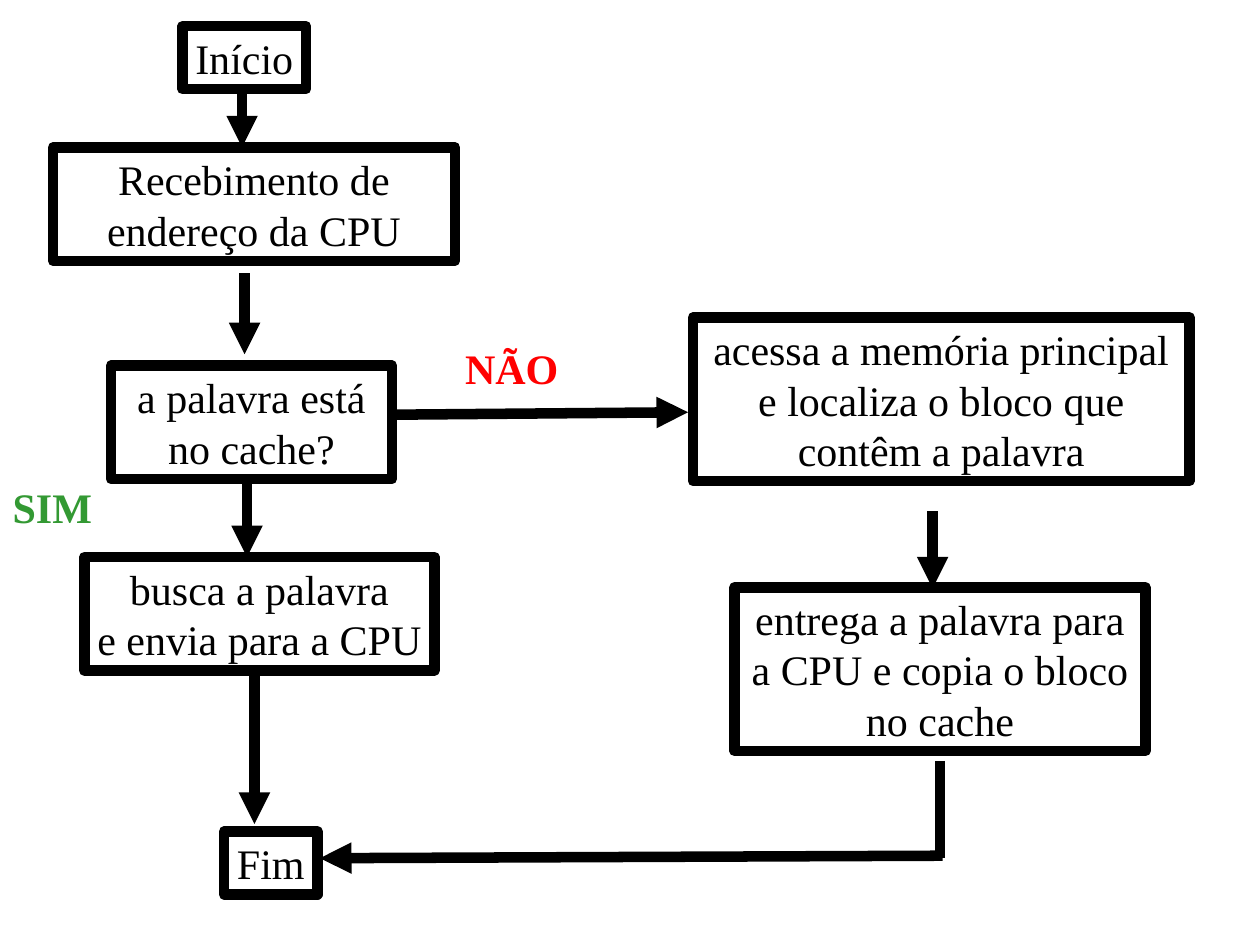
from lxml import etree
from pptx import Presentation, util as u
from pptx.dml.color import RGBColor
from pptx.enum import shapes, text
from pptx.oxml.ns import qn

INK = {"black": "000000", "green": "339933", "red": "FF0000"}

deck = Presentation()
deck.slide_width, deck.slide_height = u.Cm(25.4), u.Cm(19.05)
slide = deck.slides.add_slide(deck.slide_layouts[6])


def write(shape, words, ink, bold, wrap):
    frame = shape.text_frame
    frame.text = words
    frame.word_wrap = wrap
    frame.vertical_anchor = text.MSO_ANCHOR.MIDDLE
    for para in frame.paragraphs:
        para.alignment = text.PP_ALIGN.CENTER
        for run in para.runs:
            run.font.name = "Times New Roman"
            run.font.size = u.Pt(24)
            run.font.bold = bold
            run.font.color.rgb = RGBColor.from_string(INK[ink])


def stroke(line):
    line.width = u.Pt(6)
    line.color.rgb = RGBColor.from_string(INK["black"])


steps = [
    ("Início", 3.68, 0.53, 2.49, 1.27, False),
    ("Recebimento de endereço da CPU", 1.07, 2.97, 8.1, 2.29, True),
    ("a palavra está no cache?", 2.24, 7.37, 5.66, 2.29, True),
    ("busca a palavra\ne envia para a CPU", 1.7, 11.23, 7.06, 2.29, False),
    ("Fim", 4.52, 16.76, 1.88, 1.27, False),
    ("acessa a memória principal e localiza o bloco que contêm a palavra",
     13.97, 6.4, 10.01, 3.3, True),
    ("entrega a palavra para a CPU e copia o bloco no cache",
     14.81, 11.84, 8.28, 3.3, True),
]
for words, *place, wrap in steps:
    box = slide.shapes.add_shape(shapes.MSO_SHAPE.RECTANGLE, *map(u.Cm, place))
    box.shadow.inherit = False
    box.fill.background()
    stroke(box.line)
    write(box, words, "black", False, wrap)

labels = [
    ("SIM", "green", 0, 9.58, 2.11, 1.27),
    ("NÃO", "red", 9.12, 6.78, 2.39, 1.27),
]
for words, ink, *place in labels:
    label = slide.shapes.add_textbox(*map(u.Cm, place))
    write(label, words, ink, True, False)

flows = [
    (4.88, 1.85, 4.88, 2.97, True),
    (4.93, 5.51, 4.93, 7.14, True),
    (4.98, 9.75, 4.98, 11.23, True),
    (5.13, 13.61, 5.13, 16.61, True),
    (7.9, 8.36, 13.87, 8.31, True),
    (18.8, 10.31, 18.8, 11.86, True),
    (18.95, 15.34, 18.95, 17.3, False),
    (19, 17.25, 6.45, 17.3, True),
]
for *ends, head in flows:
    flow = slide.shapes.add_connector(shapes.MSO_CONNECTOR.STRAIGHT, *map(u.Cm, ends))
    stroke(flow.line)
    if head:
        etree.SubElement(flow.line._get_or_add_ln(), qn("a:tailEnd"), type="triangle")
    etree.SubElement(flow._element.spPr, qn("a:effectLst"))

deck.save("out.pptx")
